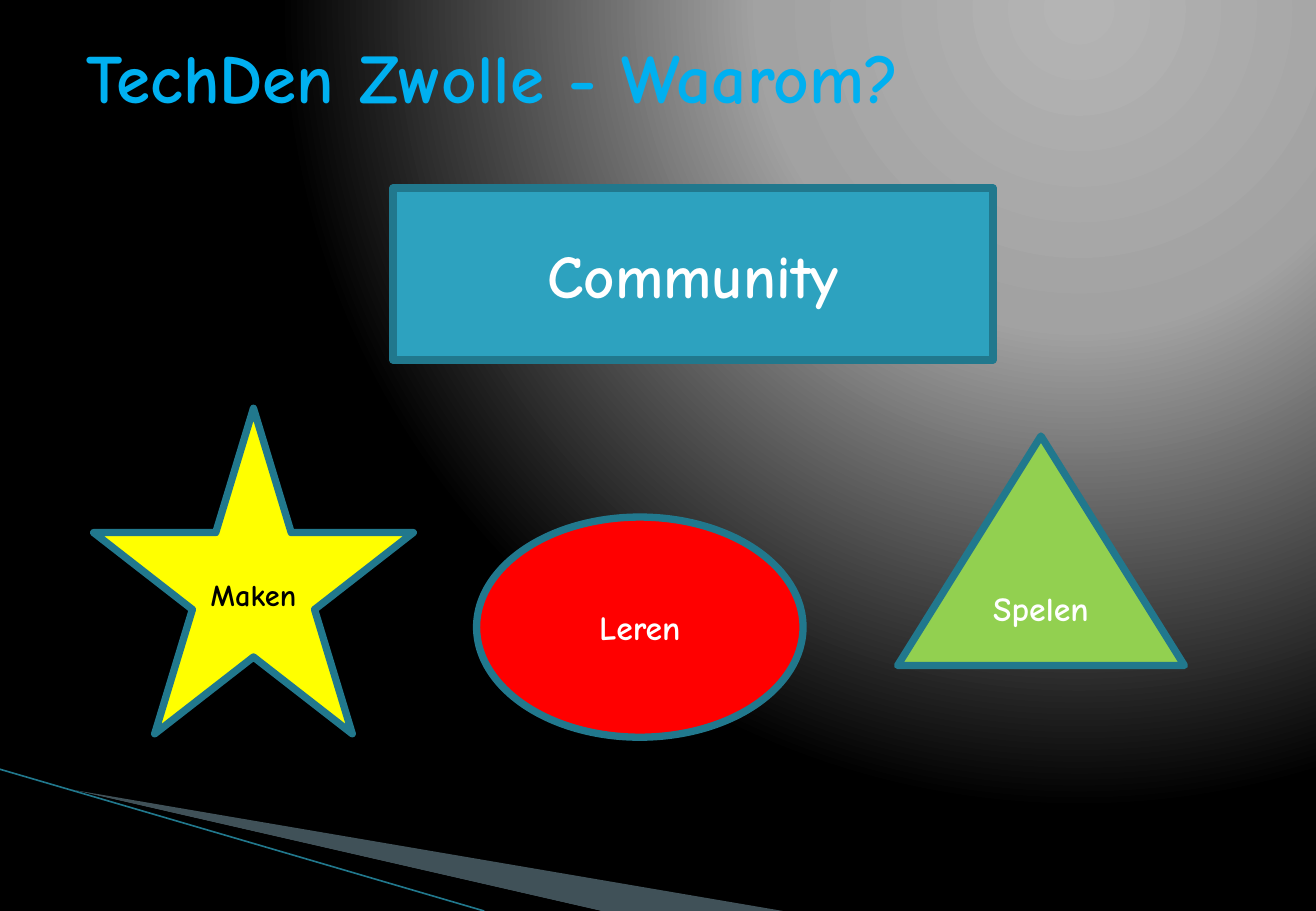
import pptx
import pptx.dml.color
import pptx.enum.shapes
import pptx.enum.text
import pptx.oxml
import pptx.oxml.ns
import pptx.util
from lxml import etree

Pt = pptx.util.Pt
RGB = pptx.dml.color.RGBColor.from_string
SHAPE = pptx.enum.shapes.MSO_SHAPE
ALIGN = pptx.enum.text.PP_ALIGN
qn = pptx.oxml.ns.qn

THEME = {
    "font": "Comic Neue",
    "sizes": {"title": 41, "heading": 36, "label": 20, "small": 18},
    "colors": {
        "title": "00B0F0", "light": "FFFFFF", "dark": "000000",
        "outline": "21788D", "banner": "2DA2BF", "star": "FFFF00",
        "oval": "FF0000", "triangle": "92D050", "wedge": "A0CBDC",
    },
    "glow": ((0, "B4B4B4"), (40, "A2A2A2"), (100, "000000")),
    "outline_width": 4.33,
}


def color(name):
    """Return the theme colour with this name."""
    return RGB(THEME["colors"][name])


def set_background(s):
    """Give the slide a radial glow from its top right."""
    s.background.fill.solid()
    bg_pr = s.background._cSld.find(".//" + qn("p:bgPr"))
    stops = "".join(
        f'<a:gs pos="{pos * 1000}"><a:srgbClr val="{rgb}"/></a:gs>'
        for pos, rgb in THEME["glow"])
    glow = pptx.oxml.parse_xml(
        f'<a:gradFill {pptx.oxml.ns.nsdecls("a")} rotWithShape="1">'
        f'<a:gsLst>{stops}</a:gsLst><a:path path="circle">'
        '<a:fillToRect l="65000" t="0" r="0" b="98000"/>'
        '</a:path></a:gradFill>')
    bg_pr.replace(bg_pr.find(qn("a:solidFill")), glow)


def write(sp, text, size, ink, align):
    """Write one bold, vertically centred line in a shape."""
    tf = sp.text_frame
    frame = {"word_wrap": True,
             "vertical_anchor": pptx.enum.text.MSO_ANCHOR.MIDDLE}
    for key, value in frame.items():
        setattr(tf, key, value)
    p = tf.paragraphs[0]
    p.alignment = align
    r = p.add_run()
    r.text = text
    style = {"name": THEME["font"], "size": Pt(THEME["sizes"][size]),
             "bold": True}
    for key, value in style.items():
        setattr(r.font, key, value)
    r.font.color.rgb = color(ink)


def add_title(s, text, box):
    """Add the slide title."""
    sp = s.shapes.add_textbox(*map(Pt, box))
    write(sp, text, "title", "title", ALIGN.LEFT)


def add_figure(s, kind, box, fill, text, size, ink):
    """Add an outlined shape with a centred label."""
    sp = s.shapes.add_shape(kind, *map(Pt, box))
    sp.shadow.inherit = False
    sp.fill.solid()
    sp.fill.fore_color.rgb = color(fill)
    sp.line.color.rgb = color("outline")
    sp.line.width = Pt(THEME["outline_width"])
    write(sp, text, size, ink, ALIGN.CENTER)


def add_wedge(s, points, fill, opacity=100):
    """Add a borderless polygon, optionally see-through."""
    builder = s.shapes.build_freeform(*points[0], scale=Pt(1))
    builder.add_line_segments(points[1:], close=True)
    sp = builder.convert_to_shape()
    sp.shadow.inherit = False
    sp.fill.solid()
    sp.fill.fore_color.rgb = color(fill)
    sp.line.fill.background()
    if opacity < 100:
        rgb = sp._element.spPr.find(qn("a:solidFill")).find(qn("a:srgbClr"))
        etree.SubElement(rgb, qn("a:alpha"), val=str(opacity * 1000))


def add_line(s, start, end, width):
    """Add a thin straight line."""
    sp = s.shapes.add_connector(
        pptx.enum.shapes.MSO_CONNECTOR.STRAIGHT, *map(Pt, start + end))
    sp.line.color.rgb = color("outline")
    sp.line.width = Pt(width)
    etree.SubElement(sp._element.spPr, qn("a:effectLst"))


def main():
    """Build the slide and save it."""
    prs = pptx.Presentation()
    prs.slide_width, prs.slide_height = Pt(780), Pt(540)
    s = prs.slides.add_slide(prs.slide_layouts[6])
    set_background(s)
    add_wedge(s, [(42.5, 468.5), (463.5, 540), (355.5, 540), (42.5, 468)],
              "wedge", 40)
    add_wedge(s, [(42, 467.5), (355.5, 540), (290, 540), (42, 468)], "dark")
    add_line(s, (0, 456), (287, 540), 0.95)
    add_title(s, "TechDen Zwolle - Waarom?", (44, 0, 702, 90))
    figures = [
        (SHAPE.RECTANGLE, (233, 111.5, 355.5, 102), "banner",
         "Community", "heading", "light"),
        (SHAPE.STAR_5_POINT, (55.5, 242, 189.5, 193), "star",
         "Maken", "small", "dark"),
        (SHAPE.OVAL, (282.5, 306.5, 193.5, 130.5), "oval",
         "Leren", "label", "light"),
        (SHAPE.ISOSCELES_TRIANGLE, (532, 258.5, 170, 136), "triangle",
         "Spelen", "label", "light"),
    ]
    for figure in figures:
        add_figure(s, *figure)
    prs.save("out.pptx")


if __name__ == "__main__":
    main()
